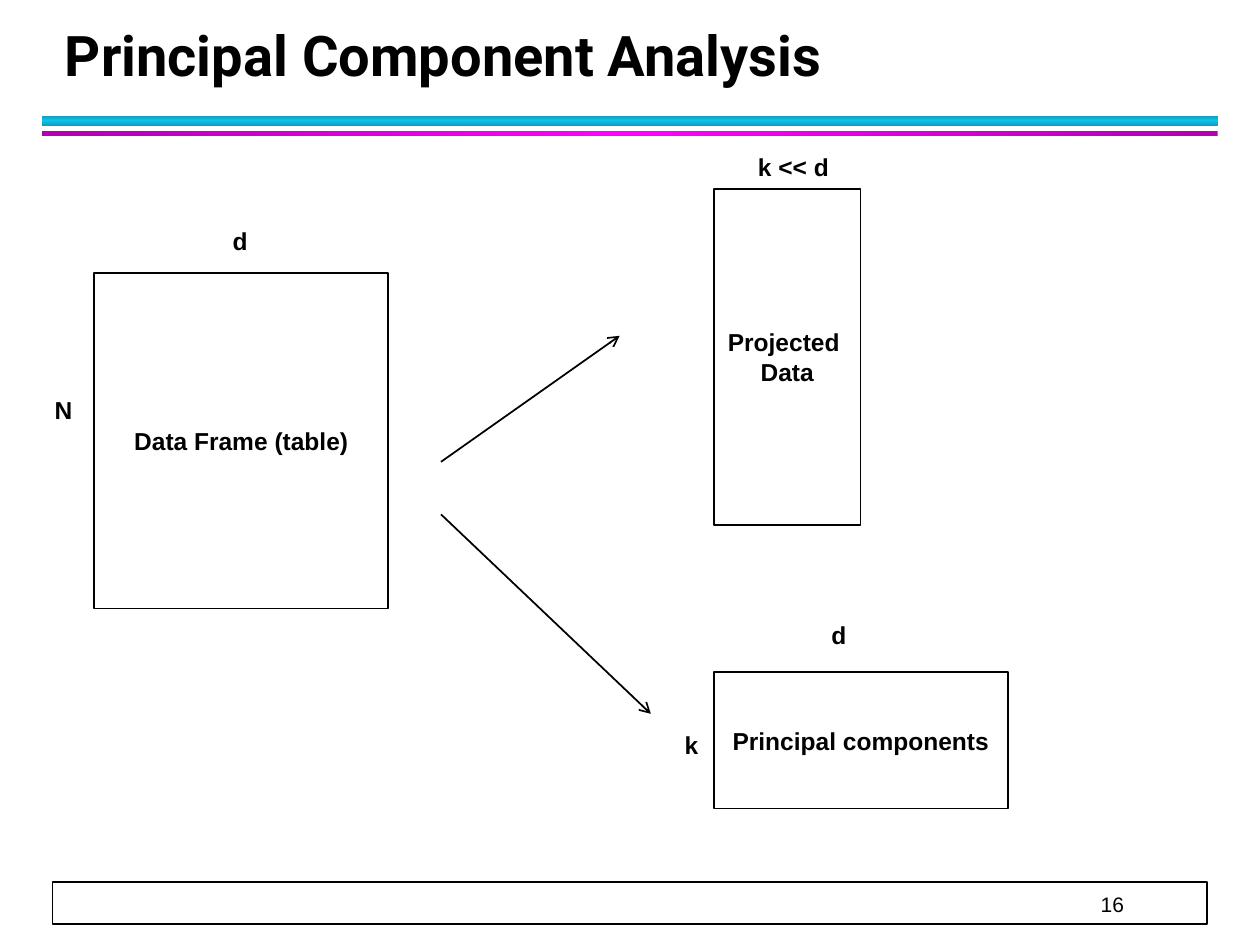
"""Build the Principal Component Analysis slide."""
from copy import deepcopy
from dataclasses import dataclass

from pptx import Presentation
from pptx.dml.color import RGBColor
from pptx.enum.shapes import MSO_CONNECTOR, MSO_SHAPE
from pptx.enum.text import MSO_ANCHOR, PP_ALIGN
from pptx.oxml.ns import qn
from pptx.oxml.xmlchemy import OxmlElement
from pptx.shapes.autoshape import Shape
from pptx.slide import Slide
from pptx.text.text import TextFrame
from pptx.util import Cm, Pt


@dataclass(frozen=True)
class Theme:
    ink: str = "000000"
    paper: str = "FFFFFF"
    cyan: tuple[str, str] = ("0E9BBA", "12C2E9")
    magenta: tuple[str, str] = ("B200B2", "FF00FF")
    title_font: str = "Roboto"
    body_font: str = "Arial"
    title_size: int = 32
    body_size: int = 14
    page_size: int = 12
    line_width: int = 1


@dataclass(frozen=True)
class Area:
    x: float
    y: float
    w: float
    h: float

    def lengths(self) -> tuple[Cm, Cm, Cm, Cm]:
        return Cm(self.x), Cm(self.y), Cm(self.w), Cm(self.h)


@dataclass(frozen=True)
class Matrix:
    area: Area
    lines: tuple[str, ...]


@dataclass(frozen=True)
class Label:
    text: str
    x: float
    y: float
    w: float


@dataclass(frozen=True)
class Arrow:
    x1: float
    y1: float
    x2: float
    y2: float


@dataclass(frozen=True)
class Rule:
    area: Area
    colors: tuple[str, str]
    angle: int


THEME = Theme()
LABEL_HEIGHT = 0.86

RULES = (
    Rule(Area(0.85, 2.33, 23.7, 0.21), THEME.cyan, 90),
    Rule(Area(0.85, 2.65, 23.7, 0.1), THEME.magenta, 0),
)
MATRICES = (
    Matrix(Area(1.9, 5.5, 5.93, 6.77), ("Data Frame (table)",)),
    Matrix(Area(14.39, 3.81, 2.96, 6.77), ("Projected ", "Data")),
    Matrix(Area(14.39, 13.55, 5.93, 2.75), ("Principal components",)),
)
LABELS = (
    Label("N", 0.85, 7.83, 1.27),
    Label("d", 4.44, 4.44, 1.27),
    Label("k << d", 15.03, 2.95, 2.12),
    Label("d", 16.51, 12.38, 2.12),
    Label("k", 13.55, 14.6, 1.06),
)
ARROWS = (
    Arrow(8.89, 9.31, 12.49, 6.77),
    Arrow(8.89, 10.37, 13.12, 14.39),
)


def add_text(tf: TextFrame, lines: tuple[str, ...], size: int,
             font: str = THEME.body_font, bold: bool = True,
             align: PP_ALIGN = PP_ALIGN.LEFT, spacing: int | None = None) -> None:
    tf.word_wrap = True
    p = tf.paragraphs[0]
    p.alignment = align
    if spacing:
        p.line_spacing = Pt(spacing)
    for i, line in enumerate(lines):
        if i:
            p.add_line_break()
        r = p.add_run()
        r.text = line
        r.font.name = font
        r.font.size = Pt(size)
        r.font.bold = bold
        r.font.color.rgb = RGBColor.from_string(THEME.ink)


def add_box(s: Slide, area: Area) -> Shape:
    sp = s.shapes.add_shape(MSO_SHAPE.RECTANGLE, *area.lengths())
    sp.shadow.inherit = False
    sp.fill.background()
    sp.line.color.rgb = RGBColor.from_string(THEME.ink)
    sp.line.width = Pt(THEME.line_width)
    return sp


def add_rule(s: Slide, rule: Rule) -> None:
    sp = add_box(s, rule.area)
    sp.line.fill.background()
    sp.fill.gradient()
    sp.fill.gradient_angle = rule.angle
    edge, middle = rule.colors
    for stop in sp.fill.gradient_stops:
        stop.color.rgb = RGBColor.from_string(edge)
    stops = sp._element.spPr.find(".//" + qn("a:gsLst"))
    stops.insert(1, deepcopy(stops[0]))
    for stop, position in zip(sp.fill.gradient_stops, (0, 0.5, 1)):
        stop.position = position
    sp.fill.gradient_stops[1].color.rgb = RGBColor.from_string(middle)


def add_matrix(s: Slide, matrix: Matrix) -> None:
    tf = add_box(s, matrix.area).text_frame
    tf.vertical_anchor = MSO_ANCHOR.MIDDLE
    add_text(tf, matrix.lines, THEME.body_size, align=PP_ALIGN.CENTER)


def add_label(s: Slide, label: Label) -> None:
    area = Area(label.x, label.y, label.w, LABEL_HEIGHT)
    tf = s.shapes.add_textbox(*area.lengths()).text_frame
    add_text(tf, (label.text,), THEME.body_size)


def add_arrow(s: Slide, arrow: Arrow) -> None:
    cxn = s.shapes.add_connector(MSO_CONNECTOR.STRAIGHT, Cm(arrow.x1), Cm(arrow.y1),
                                 Cm(arrow.x2), Cm(arrow.y2))
    cxn.line.color.rgb = RGBColor.from_string(THEME.ink)
    cxn.line.width = Pt(THEME.line_width)
    tail = OxmlElement("a:tailEnd")
    tail.set("type", "arrow")
    cxn.line._get_or_add_ln().append(tail)
    cxn._element.spPr.append(OxmlElement("a:effectLst"))


def add_footer(s: Slide) -> None:
    sp = add_box(s, Area(1.06, 17.78, 23.28, 0.85))
    sp.fill.solid()
    sp.fill.fore_color.rgb = RGBColor.from_string(THEME.paper)
    tf = s.shapes.add_textbox(*Area(1.06, 17.78, 21.6, 0.71).lengths()).text_frame
    tf.margin_left = tf.margin_right = tf.margin_top = tf.margin_bottom = 0
    tf.vertical_anchor = MSO_ANCHOR.BOTTOM
    add_text(tf, ("16",), THEME.page_size, bold=False,
             align=PP_ALIGN.RIGHT, spacing=20)


def add_title(s: Slide) -> None:
    tf = s.shapes.add_textbox(*Area(1.06, 0.42, 23.02, 1.48).lengths()).text_frame
    tf.vertical_anchor = MSO_ANCHOR.BOTTOM
    add_text(tf, ("Principal Component Analysis",), THEME.title_size,
             THEME.title_font, spacing=36)


def main() -> None:
    prs = Presentation()
    prs.slide_width, prs.slide_height = Cm(25.4), Cm(19.05)
    s = prs.slides.add_slide(prs.slide_layouts[6])
    add_footer(s)
    for rule in RULES:
        add_rule(s, rule)
    add_title(s)
    for matrix in MATRICES:
        add_matrix(s, matrix)
    for label in LABELS:
        add_label(s, label)
    for arrow in ARROWS:
        add_arrow(s, arrow)
    prs.save("out.pptx")


main()
